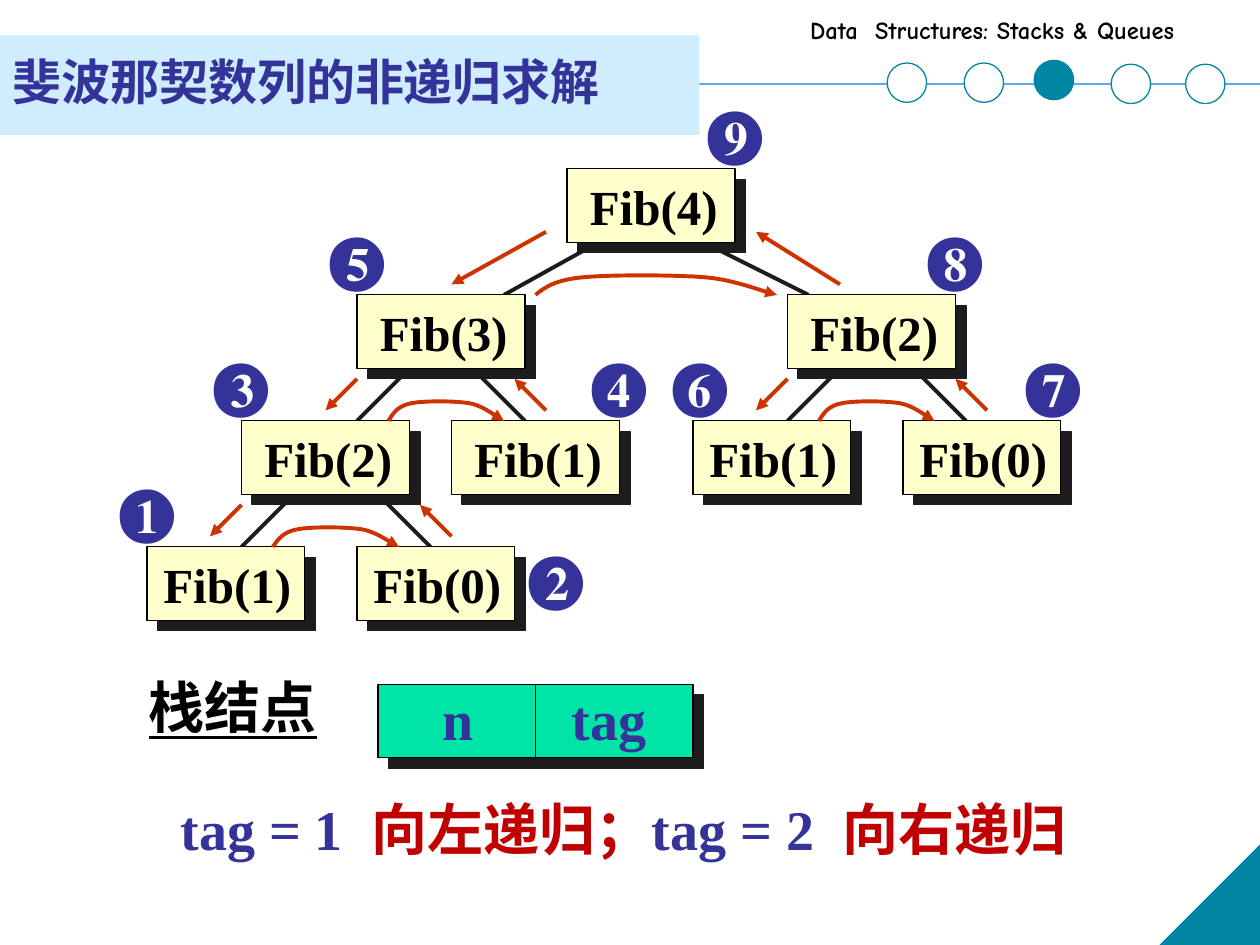
from pptx import Presentation
from pptx.dml.color import RGBColor
from pptx.enum.shapes import MSO_CONNECTOR, MSO_SHAPE as SHAPE
from pptx.enum.text import MSO_ANCHOR, MSO_AUTO_SIZE, PP_ALIGN
from pptx.oxml import parse_xml
from pptx.oxml.ns import nsdecls, qn
from pptx.util import Pt

BLACK = RGBColor(0x00, 0x00, 0x00)
WHITE = RGBColor(0xFF, 0xFF, 0xFF)
INK = RGBColor(0x1C, 0x1C, 0x1C)
NAVY = RGBColor(0x33, 0x33, 0x99)
TEAL = RGBColor(0x00, 0x85, 0xA4)
SKY = RGBColor(0x5A, 0xAA, 0xED)
PALE = RGBColor(0xCF, 0xED, 0xFE)
CREAM = RGBColor(0xFF, 0xFF, 0xCC)
GREEN = RGBColor(0x00, 0xE4, 0xA8)
RUST = RGBColor(0xCC, 0x33, 0x00)
RED = RGBColor(0xC0, 0x00, 0x00)

SERIF = "Times New Roman"
TOP, LEVEL, BOX_H = 96.5, 72, 42
WIDE, NARROW = 96, 90
ABOVE, BESIDE = -17.5, 21

NODES = [
    (138, 2, WIDE, "Fib(2)"), (84, 3, NARROW, "Fib(1)"), (204, 3, NARROW, "Fib(0)"),
    (450, 1, WIDE, "Fib(2)"), (396, 2, NARROW, "Fib(1)"), (516, 2, NARROW, "Fib(0)"),
    (258, 2, WIDE, "Fib(1)"), (204, 1, WIDE, "Fib(3)"), (324, 0, WIDE, "Fib(4)"),
]
BRANCHES = [
    (270, 300, 1), (216, 246, 2), (168, 138, 2), (234, 204, 1),
    (402, 462, 0), (342, 288, 0), (522, 552, 1), (480, 450, 1),
]
BADGES = [
    ("❶", 84, 3, ABOVE), ("❷", 318, 3, BESIDE), ("❸", 138, 2, ABOVE),
    ("❹", 354, 2, ABOVE), ("❺", 204, 1, ABOVE), ("❻", 400, 2, ABOVE),
    ("❽", 546, 1, ABOVE), ("❼", 602, 2, ABOVE), ("❾", 420, 0, ABOVE),
]
CALLS = [
    (312, 132.5, 258, 162.5), (204, 216.5, 186, 234.5),
    (138, 288.5, 120, 306.5), (450, 216.5, 432, 234.5),
]
RETURNS = [
    (258, 306.5, 240, 288.5), (312, 234.5, 294, 216.5),
    (564, 234.5, 546, 216.5), (480, 162.5, 432, 132.5),
]
ARCS = [(156, 3, 72), (222, 2, 66), (468, 2, 66), (306, 1, 138)]
ARC_CURVES = [
    ((0, 0), (0.04, -4.3), (0.08, -8.6), (0.2, -10.1)),
    ((0.2, -10.1), (0.31, -11.5), (0.56, -11.5), (0.7, -10.1)),
    ((0.7, -10.1), (0.83, -8.6), (0.95, -1.4), (1, 0)),
]
DOTS = [(591, 34.5, TEAL), (507, 36, WHITE), (551, 36, WHITE),
        (635, 36.7, WHITE), (677.5, 36.7, WHITE)]


def level_top(level):
    return TOP + level * LEVEL


def write(sp, *parts, size=28, color=BLACK, font=SERIF, underline=None, wrap=False, tab=None):
    tf = sp.text_frame
    tf.word_wrap = wrap
    tf.auto_size = MSO_AUTO_SIZE.NONE
    tf.vertical_anchor = MSO_ANCHOR.TOP
    p = tf.paragraphs[0]
    p.alignment = PP_ALIGN.LEFT
    if tab:
        p._p.get_or_add_pPr().append(parse_xml(
            f'<a:tabLst {nsdecls("a")}><a:tab pos="{Pt(tab)}" algn="l"/></a:tabLst>'))
    for part in parts:
        text, run_color = part if isinstance(part, tuple) else (part, color)
        r = p.add_run()
        r.text = text
        r.font.size, r.font.name, r.font.bold = Pt(size), font, True
        r.font.underline = underline
        r.font.color.rgb = run_color


def add_text(s, x, y, w, h, *parts, **fmt):
    sp = s.shapes.add_textbox(Pt(x), Pt(y), Pt(w), Pt(h))
    write(sp, *parts, **fmt)


def add_shape(s, kind, x, y, w, h, fill, line=None, shadow=False):
    sp = s.shapes.add_shape(kind, Pt(x), Pt(y), Pt(w), Pt(h))
    sp.shadow.inherit = False
    sp.fill.solid()
    sp.fill.fore_color.rgb = fill
    if line is None:
        sp.line.fill.background()
    else:
        sp.line.color.rgb = line
        sp.line.width = Pt(0.75)
    if shadow:
        sp.element.spPr.find(qn("a:effectLst")).append(parse_xml(
            f'<a:outerShdw {nsdecls("a")} dist="{Pt(8.5)}" dir="2700000" algn="ctr" '
            f'rotWithShape="0"><a:srgbClr val="{INK}"/></a:outerShdw>'))
    return sp


def style_line(sp, color, width, arrow):
    sp.line.color.rgb = color
    sp.line.width = Pt(width)
    if arrow:
        sp.element.spPr.find(qn("a:ln")).append(
            parse_xml(f'<a:tailEnd {nsdecls("a")} type="triangle"/>'))


def add_line(s, x1, y1, x2, y2, color, width=2.25, arrow=False):
    c = s.shapes.add_connector(MSO_CONNECTOR.STRAIGHT, Pt(x1), Pt(y1), Pt(x2), Pt(y2))
    style_line(c, color, width, arrow)
    c.element.spPr.append(parse_xml(f'<a:effectLst {nsdecls("a")}/>'))
    return c


def bezier(points, t):
    weights = ((1 - t) ** 3, 3 * t * (1 - t) ** 2, 3 * t * t * (1 - t), t ** 3)
    return tuple(sum(k * pt[i] for k, pt in zip(weights, points)) for i in (0, 1))


def add_arc(s, x, level, width, steps=10):
    y = level_top(level)
    points = [bezier(curve, i / steps) for curve in ARC_CURVES for i in range(1, steps + 1)]
    fb = s.shapes.build_freeform(Pt(x), Pt(y))
    fb.add_line_segments([(Pt(x + u * width), Pt(y + v)) for u, v in points], close=False)
    sp = fb.convert_to_shape()
    sp.shadow.inherit = False
    sp.fill.background()
    style_line(sp, RUST, 2.25, True)


def add_node(s, x, level, width, label):
    y = level_top(level)
    add_shape(s, SHAPE.RECTANGLE, x, y, width, BOX_H, CREAM, BLACK, shadow=True)
    add_text(s, x + (6 if width == WIDE else 2.3), y + 0.7, 88.5, 41, label)


def add_badge(s, digit, center, level, offset):
    add_text(s, center - 22.9, level_top(level) + offset - 29.6, 46.8, 50.4,
             digit, size=36, color=NAVY)


def add_header(s):
    add_line(s, 0, 48, 720, 48, SKY, width=1)
    corner = add_shape(s, SHAPE.RIGHT_TRIANGLE, 663, 483, 57, 57, TEAL, TEAL)
    corner.rotation = 270
    add_text(s, 455.8, 5, 262, 24.5, "Data  Structures: Stacks & Queues",
             size=14, font="Comic Neue", wrap=True)
    add_shape(s, SHAPE.RECTANGLE, 0, 20.2, 399.6, 56.9, PALE)
    for x, y, fill in DOTS:
        add_shape(s, SHAPE.OVAL, x, y, 22.5, 22.5, fill, TEAL)
    title = s.shapes.title
    title.left, title.top, title.width, title.height = Pt(0), Pt(26), Pt(540), Pt(41)
    write(title, "斐波那契数列的非递归求解", color=NAVY, wrap=True)
    title.element.getparent().append(title.element)


def add_tree(s):
    for x1, x2, level in BRANCHES:
        add_line(s, x1, level_top(level) + BOX_H, x2, level_top(level + 1), INK)
    for node in NODES:
        add_node(s, *node)
    for badge in BADGES:
        add_badge(s, *badge)
    for ends in CALLS + RETURNS:
        add_line(s, *ends, RUST, arrow=True)
    for arc in ARCS:
        add_arc(s, *arc)


def add_stack_node(s):
    add_text(s, 78, 381, 111.6, 45.4, "栈结点", size=32, underline=True)
    box = add_shape(s, SHAPE.RECTANGLE, 216, 391, 180, BOX_H, GREEN, BLACK, shadow=True)
    divider = add_line(s, 306, 391, 306, 433, BLACK, width=0.75)
    divider.begin_connect(box, 0)
    divider.end_connect(box, 2)
    add_text(s, 246, 387.5, 132, 46, "n\ttag", size=32, color=NAVY, tab=73.5)
    add_text(s, 96, 450.7, 526.3, 46, "tag = 1  ", ("向左递归；", RED),
             "tag = 2  ", ("向右递归", RED), size=32, color=NAVY, wrap=True)


def main():
    prs = Presentation()
    prs.slide_width, prs.slide_height = Pt(720), Pt(540)
    s = prs.slides.add_slide(prs.slide_layouts[5])
    add_header(s)
    add_tree(s)
    add_stack_node(s)
    prs.save("out.pptx")


if __name__ == "__main__":
    main()
